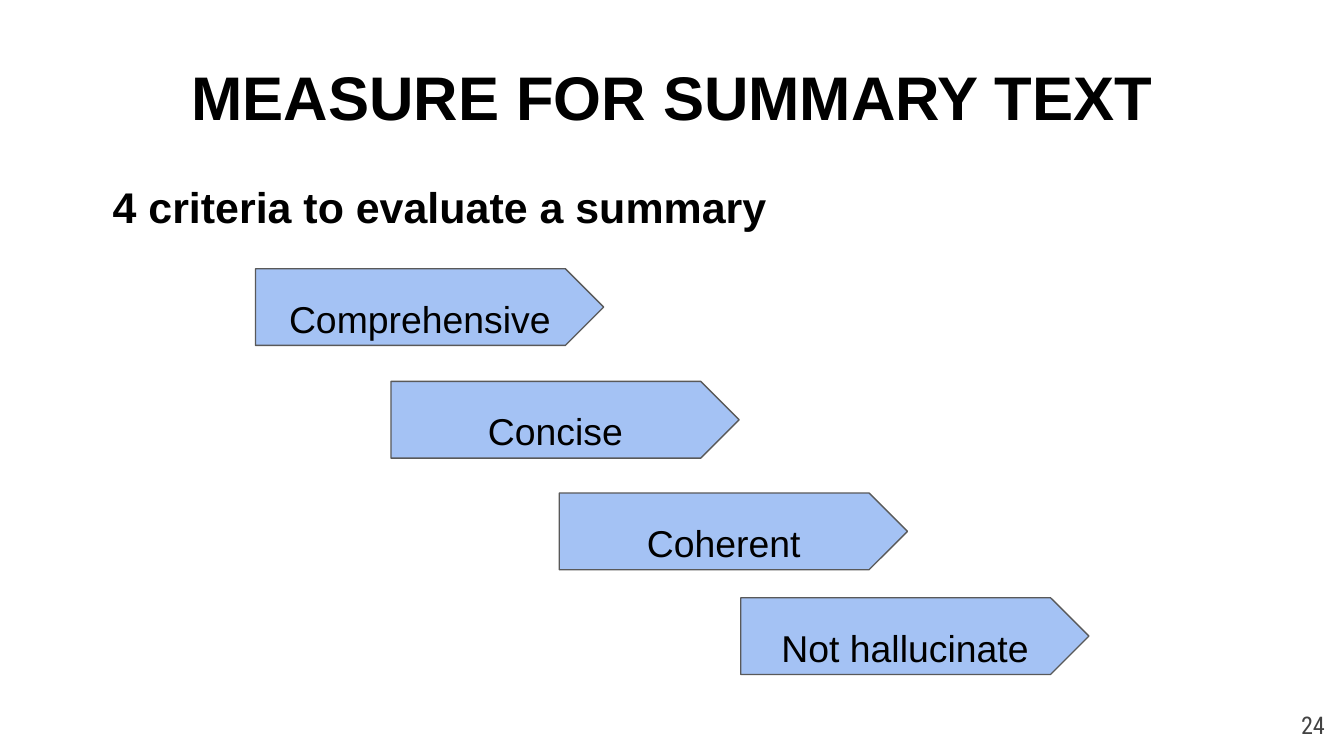
import pptx
import pptx.util
import pptx.dml.color
import pptx.enum.shapes
import pptx.enum.text

Cm = pptx.util.Cm
Pt = pptx.util.Pt
RGB = pptx.dml.color.RGBColor
Align = pptx.enum.text.PP_ALIGN
Anchor = pptx.enum.text.MSO_ANCHOR
Fit = pptx.enum.text.MSO_AUTO_SIZE

BLACK = RGB(0x00, 0x00, 0x00)
GREY = RGB(0x43, 0x43, 0x43)
EDGE = RGB(0x59, 0x59, 0x59)
BLUE = RGB(0xA4, 0xC2, 0xF4)


class Deck:
    font = "Arial"
    inset = Cm(0.25)

    def __init__(self, wide, high):
        self.file = pptx.Presentation()
        self.file.slide_width = Cm(wide)
        self.file.slide_height = Cm(high)
        self.slide = self.file.slides.add_slide(self.file.slide_layouts[5])

    def letter(self, shape, text, size, align=Align.LEFT, anchor=Anchor.TOP,
               bold=False, font=font, color=BLACK, space=1.5, fit=Fit.NONE):
        frame = shape.text_frame
        frame.text = text
        frame.word_wrap = True
        frame.auto_size = fit
        frame.vertical_anchor = anchor
        frame.margin_left = frame.margin_right = self.inset
        frame.margin_top = frame.margin_bottom = self.inset
        para = frame.paragraphs[0]
        para.alignment = align
        para.line_spacing = space
        para.space_before = Pt(0)
        style = para.runs[0].font
        style.name = font
        style.size = Pt(size)
        style.bold = bold
        style.color.rgb = color

    def title(self, text, left, top, wide, high):
        shape = self.slide.shapes.title
        shape.left, shape.top = Cm(left), Cm(top)
        shape.width, shape.height = Cm(wide), Cm(high)
        self.letter(shape, text, 33, Align.CENTER, Anchor.BOTTOM, bold=True)

    def label(self, text, left, top, wide, high, size, **style):
        box = self.slide.shapes.add_textbox(Cm(left), Cm(top), Cm(wide), Cm(high))
        self.letter(box, text, size, **style)

    def arrow(self, text, left, top, wide=6.58, high=1.45):
        shape = self.slide.shapes.add_shape(
            pptx.enum.shapes.MSO_SHAPE.PENTAGON,
            Cm(left), Cm(top), Cm(wide), Cm(high))
        shape.adjustments[0] = 0.5
        shape.shadow.inherit = False
        shape.fill.solid()
        shape.fill.fore_color.rgb = BLUE
        shape.line.color.rgb = EDGE
        shape.line.width = Pt(0.75)
        self.letter(shape, text, 20, Align.CENTER, Anchor.MIDDLE)


def main():
    deck = Deck(25.4, 14.29)

    # Headings
    deck.title("MEASURE FOR SUMMARY TEXT", 2.06, 0.41, 21.29, 2.36)
    deck.label("4 criteria to evaluate a summary", 1.88, 2.67, 21.62, 1.5, 23,
               bold=True, fit=Fit.SHAPE_TO_FIT_TEXT)

    # Slide number
    deck.label("24", 23.77, 13.18, 1.52, 1.09, 13, align=Align.RIGHT,
               font="Roboto Condensed", color=GREY, space=1)

    # Staircase of criteria
    steps = [("Comprehensive", 4.83, 5.08), ("Concise", 7.39, 7.21),
             ("Coherent", 10.57, 9.32), ("Not hallucinate", 14, 11.3)]
    for name, left, top in steps:
        deck.arrow(name, left, top)

    deck.file.save("out.pptx")


if __name__ == "__main__":
    main()
